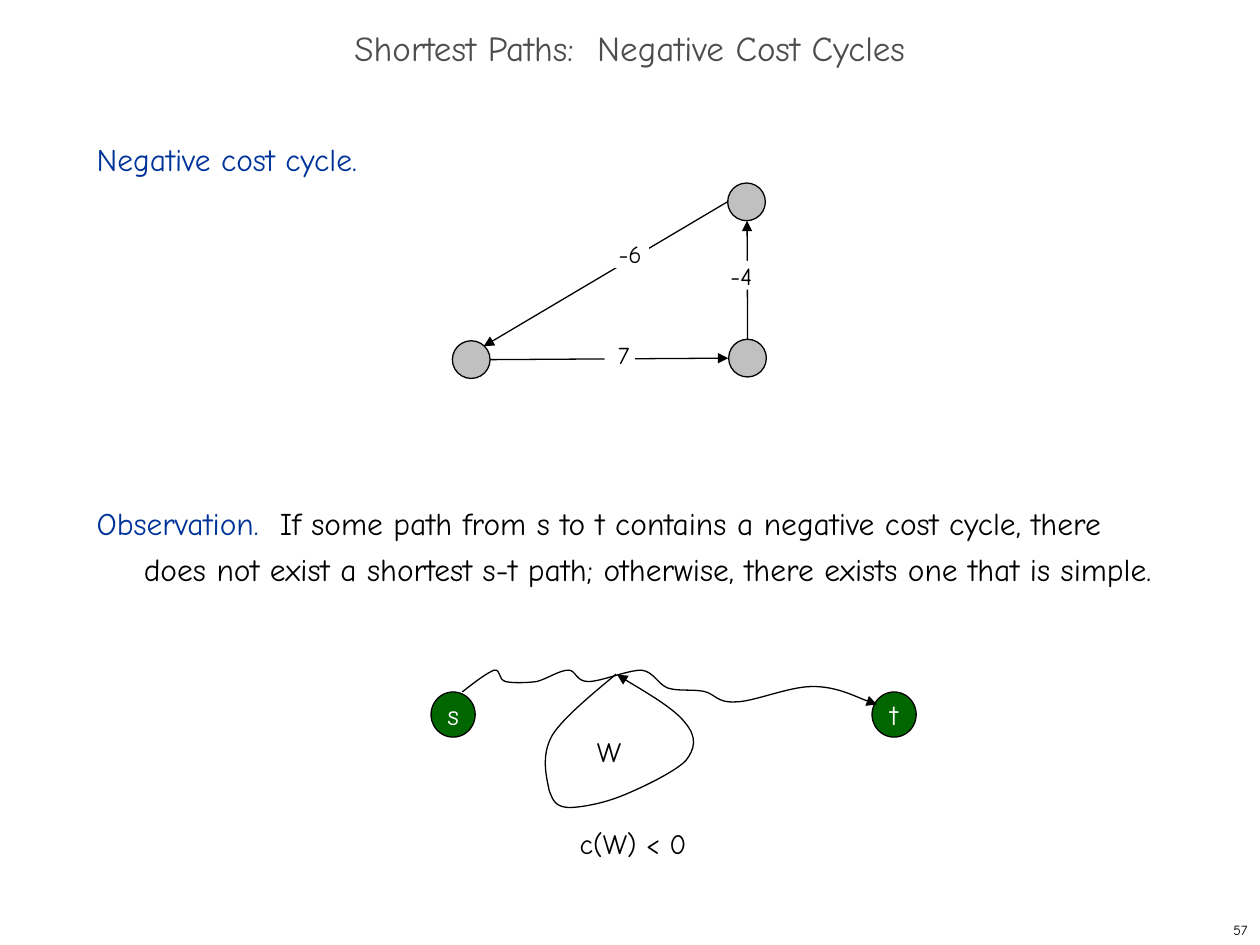
from lxml import etree
from pptx import Presentation
from pptx import util as u
from pptx.dml.color import RGBColor
from pptx.enum import shapes, text
from pptx.oxml import ns

COLORS = {"black": "000000", "white": "FFFFFF", "title": "4D4D4D",
          "heading": "003399", "terminal": "006600", "node": "C0C0C0"}
FONT = "Comic Neue"

deck = Presentation()
deck.slide_width, deck.slide_height = u.Cm(25.4), u.Cm(19.05)
page = deck.slides.add_slide(deck.slide_layouts[6])


def write(box, *paragraphs, size=16, align="CENTER", anchor="MIDDLE", spacing=None,
          gap=0, hanging=0, margins=(0.25, 0.13, 0.25, 0.13)):
    """Fill a shape with paragraphs, each a list of (wording, colour name) pieces."""
    frame = box.text_frame
    frame.word_wrap = True
    frame.vertical_anchor = text.MSO_ANCHOR[anchor]
    (frame.margin_left, frame.margin_top,
     frame.margin_right, frame.margin_bottom) = map(u.Cm, margins)
    for number, pieces in enumerate(paragraphs):
        para = frame.add_paragraph() if number else frame.paragraphs[0]
        para.alignment = text.PP_ALIGN[align]
        para.line_spacing = spacing
        if number:
            para.space_before = u.Pt(gap)
        if hanging:
            properties = para._p.get_or_add_pPr()
            properties.set("marL", str(u.Cm(hanging)))
            properties.set("indent", str(-u.Cm(hanging)))
        for wording, color in pieces:
            span = para.add_run()
            span.text = wording
            span.font.name = FONT
            span.font.size = u.Pt(size)
            span.font.color.rgb = RGBColor.from_string(COLORS[color])


def add_shape(kind, place, fill, outlined=True):
    shape = page.shapes.add_shape(kind, *map(u.Cm, place))
    shape.shadow.inherit = False
    shape.fill.solid()
    shape.fill.fore_color.rgb = RGBColor.from_string(COLORS[fill])
    if outlined:
        shape.line.color.rgb = RGBColor.from_string(COLORS["black"])
        shape.line.width = u.Pt(0.75)
    else:
        shape.line.fill.background()
    return shape


# Plain text
statements = [
    [("Negative cost cycle.", "heading")],
    [("Observation.  ", "heading"),
     ("If some path from s to t contains a negative cost cycle, there does not exist "
      "a shortest s-t path; otherwise, there exists one that is simple.", "black")],
]
for place, paragraphs, style in [
    ((20.12, 18.42, 5.28, 0.64), [[("57", "black")]], {"size": 8, "align": "RIGHT"}),
    ((0, 0.43, 25.4, 1.27), [[("Shortest Paths:  Negative Cost Cycles", "title")]],
     {"size": 20, "spacing": 0.7}),
    ((1.7, 2.54, 21.8, 15.04), statements,
     {"size": 18, "align": "LEFT", "anchor": "TOP", "spacing": u.Pt(26),
      "gap": 7 * 26, "hanging": 0.95}),
    ((11.73, 14.68, 1.09, 0.94), [[("W", "black")]], {}),
    ((11, 16.54, 3.53, 0.94), [[("c(W) < 0", "black")]], {}),
]:
    write(page.shapes.add_textbox(*map(u.Cm, place)), *paragraphs, **style)

# Path endpoints and graph nodes
for name, left in [("s", 8.69), ("t", 17.58)]:
    terminal = add_shape(shapes.MSO_SHAPE.OVAL, (left, 13.95, 0.89, 0.91), "terminal")
    write(terminal, [(name, "white")], margins=(0, 0, 0, 0))
for left, top in [(14.67, 3.69), (14.69, 6.84), (9.12, 6.87)]:
    add_shape(shapes.MSO_SHAPE.OVAL, (left, top, 0.76, 0.76), "node")

# Each curve: a start point, then cubic pieces (two control points and an end)
walk = [
    (9.32, 13.95),
    (9.58, 13.74), (9.83, 13.56), (9.96, 13.51),
    (10.11, 13.49), (10.03, 13.69), (10.19, 13.74),
    (10.31, 13.77), (10.59, 13.77), (10.82, 13.74),
    (11.02, 13.69), (11.28, 13.51), (11.46, 13.51),
    (11.61, 13.51), (11.61, 13.74), (11.86, 13.74),
    (12.12, 13.74), (12.65, 13.51), (12.93, 13.51),
    (13.18, 13.54), (13.26, 13.79), (13.46, 13.87),
    (13.67, 13.94), (13.97, 13.89), (14.2, 13.94),
    (14.43, 14), (14.45, 14.17), (14.83, 14.15),
    (15.19, 14.15), (15.9, 13.84), (16.38, 13.84),
    (16.87, 13.84), (17.4, 14.12), (17.68, 14.2),
]
cycle = [
    (12.42, 13.59),
    (12.19, 13.79), (11.35, 14.45), (11.13, 14.83),
    (10.9, 15.24), (11.02, 15.67), (11.07, 15.93),
    (11.15, 16.15), (11.2, 16.26), (11.46, 16.28),
    (11.68, 16.28), (12.12, 16.21), (12.52, 16.05),
    (12.9, 15.9), (13.59, 15.57), (13.82, 15.34),
    (14.02, 15.09), (14.05, 14.86), (13.82, 14.58),
    (13.59, 14.27), (12.73, 13.79), (12.44, 13.6),
]
arrows = []
for points in (walk, cycle):
    start, *stops = [tuple(map(u.Cm, point)) for point in points]
    outline = page.shapes.build_freeform(*start)
    outline.add_line_segments(stops, close=False)
    curve = outline.convert_to_shape()
    curve.fill.background()
    # Join every three straight segments into one cubic piece
    route = curve._element.find(".//" + ns.qn("a:path"))
    segments = route.findall(ns.qn("a:lnTo"))
    for first in range(0, len(segments), 3):
        bend = etree.SubElement(route, ns.qn("a:cubicBezTo"))
        for segment in segments[first:first + 3]:
            bend.append(segment[0])
            route.remove(segment)
    arrows.append(curve)

# Edges of the triangle
for ends in [(15.07, 6.83, 15.06, 4.45), (9.88, 7.25, 14.68, 7.22), (14.68, 4.06, 9.75, 6.98)]:
    arrows.append(page.shapes.add_connector(shapes.MSO_CONNECTOR.STRAIGHT, *map(u.Cm, ends)))

for arrow in arrows:
    arrow.line.color.rgb = RGBColor.from_string(COLORS["black"])
    arrow.line.width = u.Pt(0.75)
    etree.SubElement(arrow.line._get_or_add_ln(), ns.qn("a:tailEnd"), type="triangle")
    etree.SubElement(arrow._element.spPr, ns.qn("a:effectLst"))

# Edge costs, each on a white patch that interrupts its edge
for cost, left, top, width in [("-6", 12.17, 4.82, 0.91), ("7", 12.19, 6.86, 0.61),
                               ("-4", 14.38, 5.26, 0.97)]:
    patch = add_shape(shapes.MSO_SHAPE.RECTANGLE, (left, top, width, 0.58), "white",
                      outlined=False)
    write(patch, [(cost, "black")], size=14, anchor="TOP", margins=(0.16, 0, 0, 0))

deck.save("out.pptx")
